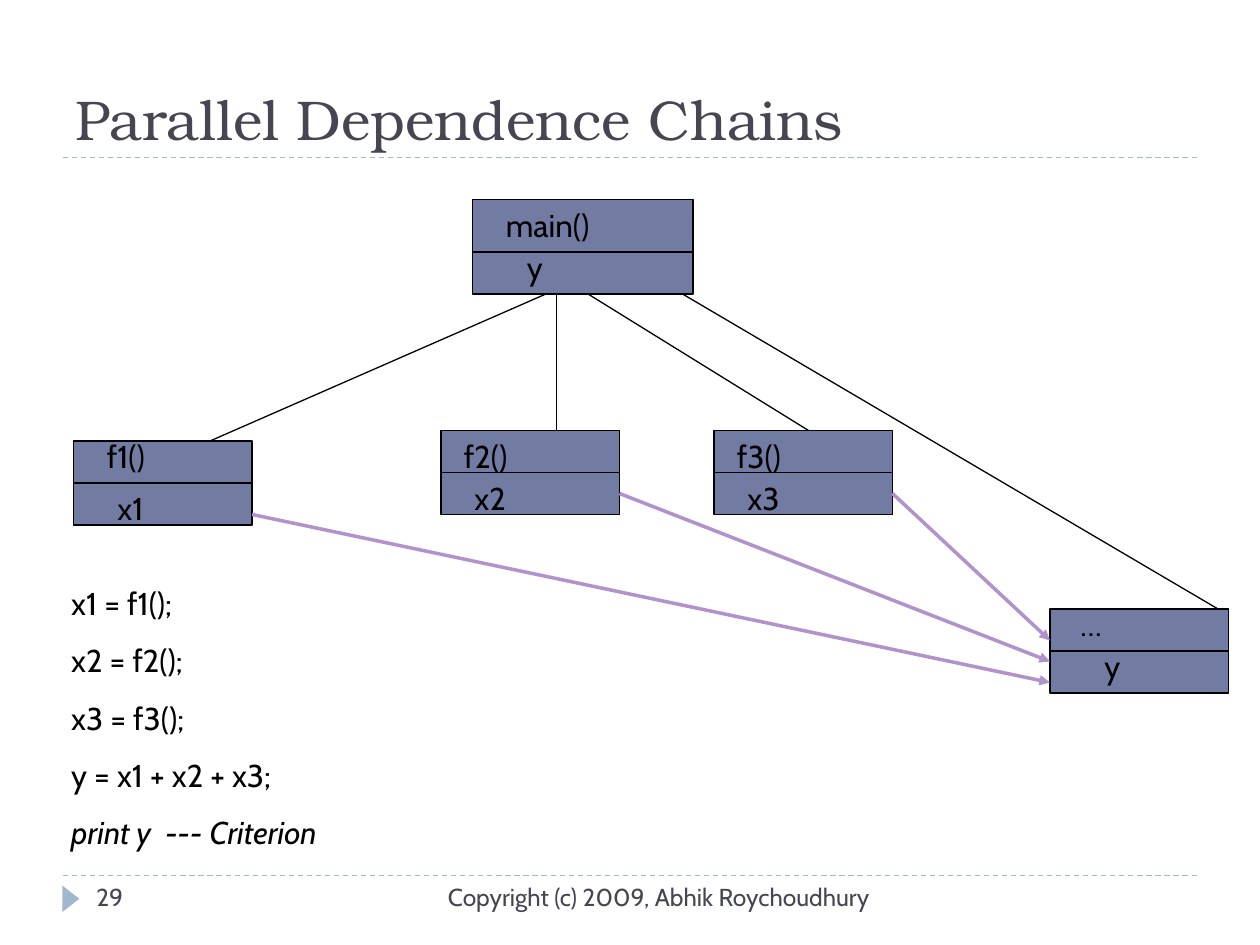
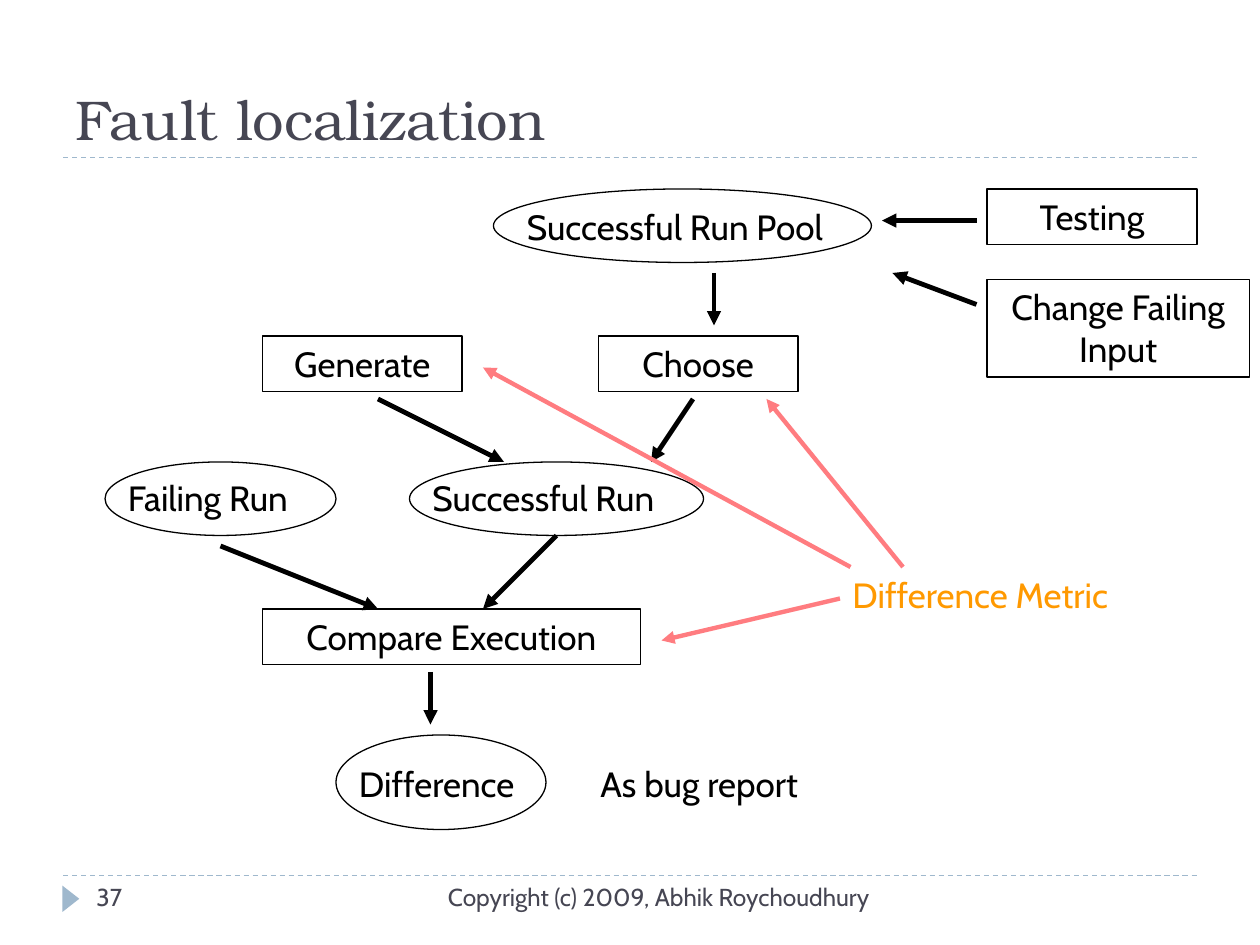
from pptx import Presentation as Deck
from pptx.dml.color import RGBColor as Rgb
from pptx.enum.dml import MSO_LINE as Dash
from pptx.enum.shapes import MSO_CONNECTOR as Conn, MSO_SHAPE as Shape
from pptx.enum.text import MSO_ANCHOR as Anchor, PP_ALIGN as Align
from pptx.oxml.ns import qn
from pptx.util import Pt
from lxml.etree import SubElement as Sub

PX = 7620
HUES = {"ink": "000000", "slate": "464653", "sky": "9FB8CD", "node": "727CA3",
        "flow": "B292CA", "pink": "FF7C80", "gold": "FF9900"}
BODY, HEAD = "Cabin", "TeX Gyre Bonum"


def hue(name):
    return Rgb.from_string(HUES[name])


def apply(item, vals):
    for key, val in vals.items():
        setattr(item, key, val)


class Page:
    def __init__(self, deck, size):
        self.deck, self.size = deck, size

    def start(self, title, num):
        self.slide = self.deck.slides.add_slide(self.deck.slide_layouts[6])
        self.shapes = self.slide.shapes
        for y in (834, 150):
            self.line((60, y), (1140, y), "sky", dash=Dash.DASH)
        self.shape(Shape.ISOSCELES_TRIANGLE, (55, 848, 25, 16), "sky", None).rotation = 90
        self.text((60, 20, 1080, 130), [title], 32, "slate", font=HEAD, anchor=Anchor.BOTTOM)
        self.text((380, 834, 460, 48), ["Copyright (c) 2009, Abhik Roychoudhury"],
                  14, "slate", Align.RIGHT)
        self.text((80, 834, 260, 48), [num], 14, "slate")

    def label(self, shape, rows, size, color="ink", align=Align.LEFT, font=BODY,
              anchor=Anchor.TOP, gap=0):
        frame = shape.text_frame
        apply(frame, {"word_wrap": True, "vertical_anchor": anchor})
        for i, row in enumerate(rows):
            para = frame.paragraphs[0] if i == 0 else frame.add_paragraph()
            apply(para, {"text": row, "alignment": align})
            apply(para.font, {"name": font, "size": Pt(size)})
            para.font.color.rgb = hue(color)
            if i:
                para.space_before = Pt(gap)
        return frame

    def text(self, box, rows, size=None, *args, **opts):
        shape = self.shapes.add_textbox(*(n * PX for n in box))
        return self.label(shape, rows, size or self.size, *args, **opts)

    def shape(self, kind, box, fill=None, edge="ink"):
        shape = self.shapes.add_shape(kind, *(n * PX for n in box))
        shape.shadow.inherit = False
        if fill:
            shape.fill.solid()
            shape.fill.fore_color.rgb = hue(fill)
        else:
            shape.fill.background()
        if edge:
            shape.line.color.rgb = hue(edge)
            shape.line.width = Pt(0.75)
        else:
            shape.line.fill.background()
        return shape

    def box(self, box, name):
        self.label(self.shape(Shape.RECTANGLE, box), [name], self.size, align=Align.CENTER)

    def oval(self, box, name, at):
        self.shape(Shape.OVAL, box)
        self.text((*at, box[2], 53), [name])

    def line(self, start, end, color="ink", width=0.75, dash=None, arrow=False):
        line = self.shapes.add_connector(Conn.STRAIGHT, *(n * PX for n in start + end))
        line.line.color.rgb = hue(color)
        apply(line.line, {"width": Pt(width), "dash_style": dash})
        props = line.element.spPr
        if arrow:
            Sub(props.find(qn("a:ln")), qn("a:tailEnd"), type="triangle")
        Sub(props, qn("a:effectLst"))

    def node(self, box, cut, name, at, var, spot):
        left, top, wide, _ = box
        self.shape(Shape.RECTANGLE, box, "node")
        self.line((left, top + cut), (left + wide, top + cut))
        for word, (dx, dy) in ((name, at), (var, spot)):
            self.text((left + dx, top + dy, 150, 48), [word])


def chains(deck):
    page = Page(deck, 18)
    page.start("Parallel Dependence Chains", "29")
    page.node((450, 190, 210, 90), 50, "main()", (20, 0), "y", (40, 40))
    for left, top, name, at, var, spot in (
            (70, 420, "f1()", (20, -10), "x1", (30, 40)),
            (420, 410, "f2()", (10, 0), "x2", (20, 40)),
            (680, 410, "f3()", (10, 0), "x3", (20, 40)),
            (1000, 580, "…", (17, -10), "y", (40, 30))):
        page.node((left, top, 170, 80), 40, name, at, var, spot)
    for x, end in ((520, (200, 420)), (530, (530, 410)), (560, (770, 410)), (650, (1160, 580))):
        page.line((x, 280), end)
    for start, y in (((240, 490), 650), ((590, 470), 630), ((850, 470), 610)):
        page.line(start, (1000, y), "flow", 2, arrow=True)
    rows = ["x1 = f1();", "x2 = f2();", "x3 = f3();", "y = x1 + x2 + x3;",
            "print y  --- Criterion"]
    code = page.text((56, 550, 440, 268), rows, gap=11.2)
    code.paragraphs[-1].font.italic = True


def faults(deck):
    page = Page(deck, 20)
    page.start("Fault localization", "37")
    for box, name in (
            ((250, 580, 360, 53), "Compare Execution"),
            ((570, 320, 190, 53), "Choose"),
            ((250, 320, 190, 53), "Generate"),
            ((940, 180, 200, 53), "Testing"),
            ((940, 266, 250, 93), "Change Failing Input")):
        page.box(box, name)
    for box, name, at in (
            ((100, 440, 220, 70), "Failing Run", (110, 448)),
            ((390, 440, 280, 70), "Successful Run", (400, 448)),
            ((320, 700, 200, 90), "Difference", (330, 720)),
            ((470, 180, 360, 70), "Successful Run Pool", (490, 190))):
        page.oval(box, name, at)
    page.text((560, 720, 300, 53), ["As bug report"])
    page.text((800, 540, 330, 53), ["Difference Metric"], color="gold")
    for start, end in (
            ((410, 640), (410, 690)), ((530, 510), (460, 580)), ((210, 520), (360, 580)),
            ((660, 380), (620, 440)), ((680, 260), (680, 310)), ((930, 210), (840, 210)),
            ((930, 290), (850, 260)), ((360, 380), (480, 440))):
        page.line(start, end, width=2.75, arrow=True)
    for start, end in (((800, 570), (630, 610)), ((860, 540), (730, 380)),
                       ((810, 540), (460, 350))):
        page.line(start, end, "pink", 2.5, arrow=True)


def main():
    deck = Deck()
    apply(deck, {"slide_width": 1200 * PX, "slide_height": 900 * PX})
    chains(deck)
    faults(deck)
    deck.save("out.pptx")


if __name__ == "__main__":
    main()
